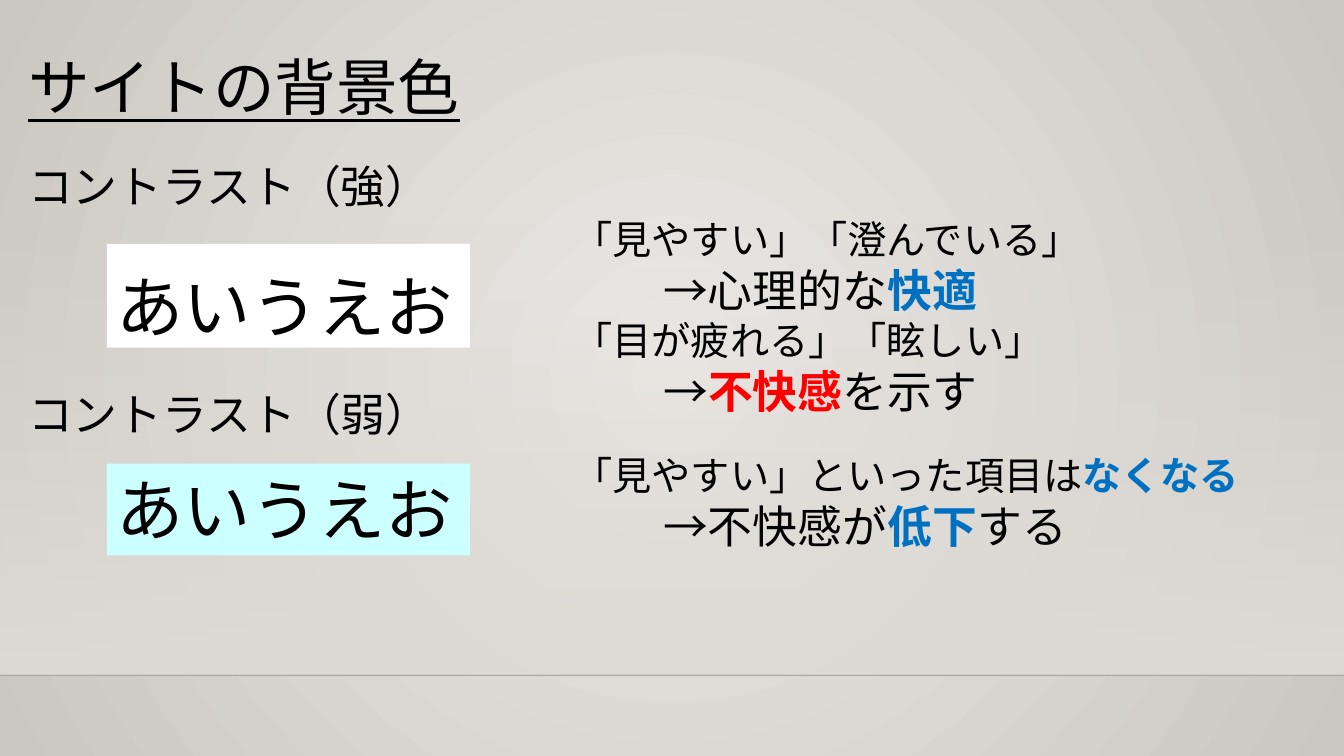
from lxml.etree import SubElement
from pptx import Presentation
from pptx.dml.color import RGBColor
from pptx.enum.shapes import MSO_CONNECTOR, MSO_SHAPE
from pptx.enum.text import MSO_ANCHOR, PP_ALIGN
from pptx.oxml.ns import qn
from pptx.util import Inches, Pt

FONT = "Noto Sans CJK JP"
BLUE, RED = "0070C0", "FF0000"
LEFT, SAMPLE, RIGHT = Inches(0.18), Inches(1.06), Inches(5.59)


def rgb(value):
    return RGBColor.from_string(value)


def add_text(p, text, size=32, color="000000", bold=False, underline=False, spacing=1.0):
    p.alignment = PP_ALIGN.LEFT
    p.space_before = Pt(0)
    p.line_spacing = spacing
    r = p.add_run()
    r.text = text
    r.font.size = Pt(size)
    r.font.name = FONT
    r.font.bold = bold
    r.font.underline = underline
    r.font.color.rgb = rgb(color)
    SubElement(r.font._element, qn("a:ea")).set("typeface", FONT)


prs = Presentation()
prs.slide_width, prs.slide_height = Inches(13.33), Inches(7.5)
W = prs.slide_width
s = prs.slides.add_slide(prs.slide_layouts[5])

fill = s.background.fill
fill.gradient()
for stop, color, pos in zip(fill.gradient_stops, ("ECEAE7", "CAC7C1"), (0, 1)):
    stop.color.rgb = rgb(color)
    stop.position = pos
grad = next(s._element.iter(qn("a:gradFill")))
grad.remove(grad.find(qn("a:lin")))
circle = SubElement(grad, qn("a:path"), {"path": "circle"})
SubElement(circle, qn("a:fillToRect"), {side: "50000" for side in "ltrb"})

floor_y = Inches(6.7)
floor = s.shapes.add_shape(MSO_SHAPE.RECTANGLE, 0, Inches(2.21), W, Inches(4.49))
floor.shadow.inherit = False
floor.line.fill.background()
floor.fill.gradient()
floor.fill.gradient_angle = 270
for stop, pos in zip(floor.fill.gradient_stops, (0, 1)):
    stop.color.rgb = rgb("DFDBD5")
    stop.position = pos
clear = next(floor._element.iter(qn("a:srgbClr")))
SubElement(clear, qn("a:alpha")).set("val", "0")

edge = s.shapes.add_connector(MSO_CONNECTOR.STRAIGHT, 0, floor_y, W, floor_y)
edge.line.width = Pt(1)
edge.line.color.rgb = rgb("000001")
SubElement(next(edge._element.iter(qn("a:srgbClr"))), qn("a:alpha")).set("val", "20000")
SubElement(edge._element.spPr, qn("a:effectLst"))

title = s.shapes.title
title.left, title.top, title.width, title.height = LEFT, Inches(0.44), Inches(10.52), Inches(0.84)
title.text_frame.vertical_anchor = MSO_ANCHOR.TOP
add_text(title.text_frame.paragraphs[0], "サイトの背景色", size=44, underline=True)

samples = [
    ("コントラスト（強）", 1.53, 2.42, 1.03, "FFFFFF", 1.2),
    ("コントラスト（弱）", 3.79, 4.6, 0.91, "CCFFFF", 1.0),
]
for label, label_y, y, height, color, spacing in samples:
    sp = s.shapes.add_shape(MSO_SHAPE.RECTANGLE, SAMPLE, Inches(y), Inches(3.6), Inches(height))
    sp.shadow.inherit = False
    sp.fill.solid()
    sp.fill.fore_color.rgb = rgb(color)
    sp.line.fill.background()
    tf = sp.text_frame
    tf.word_wrap = True
    tf.vertical_anchor = MSO_ANCHOR.TOP
    add_text(tf.paragraphs[0], "あいうえお", size=48, spacing=spacing)

    tf = s.shapes.add_textbox(LEFT, Inches(label_y), Inches(4.6), Inches(0.64)).text_frame
    tf.word_wrap = True
    add_text(tf.paragraphs[0], label)

effects = [
    (2.09, 2.12, [
        [("「見やすい」「澄んでいる」", None)],
        [("→心理的な", None), ("快適", BLUE)],
        [("「目が疲れる」「眩しい」", None)],
        [("→", None), ("不快感", RED), ("を示す", None)],
    ]),
    (4.43, 1.11, [
        [("「見やすい」といった項目は", None), ("なくなる", BLUE)],
        [("→不快感が", None), ("低下", BLUE), ("する", None)],
    ]),
]
for y, height, lines in effects:
    tf = s.shapes.add_textbox(RIGHT, Inches(y), Inches(7.2), Inches(height)).text_frame
    tf.word_wrap = True
    for i, line in enumerate(lines):
        p = tf.add_paragraph() if i else tf.paragraphs[0]
        result = i % 2 == 1
        if result:
            p._p.get_or_add_pPr().set("marL", str(Pt(64)))
        for text, accent in line:
            add_text(p, text, size=32 if result else 28,
                     color=accent or "000000", bold=accent is not None)

prs.save("out.pptx")
